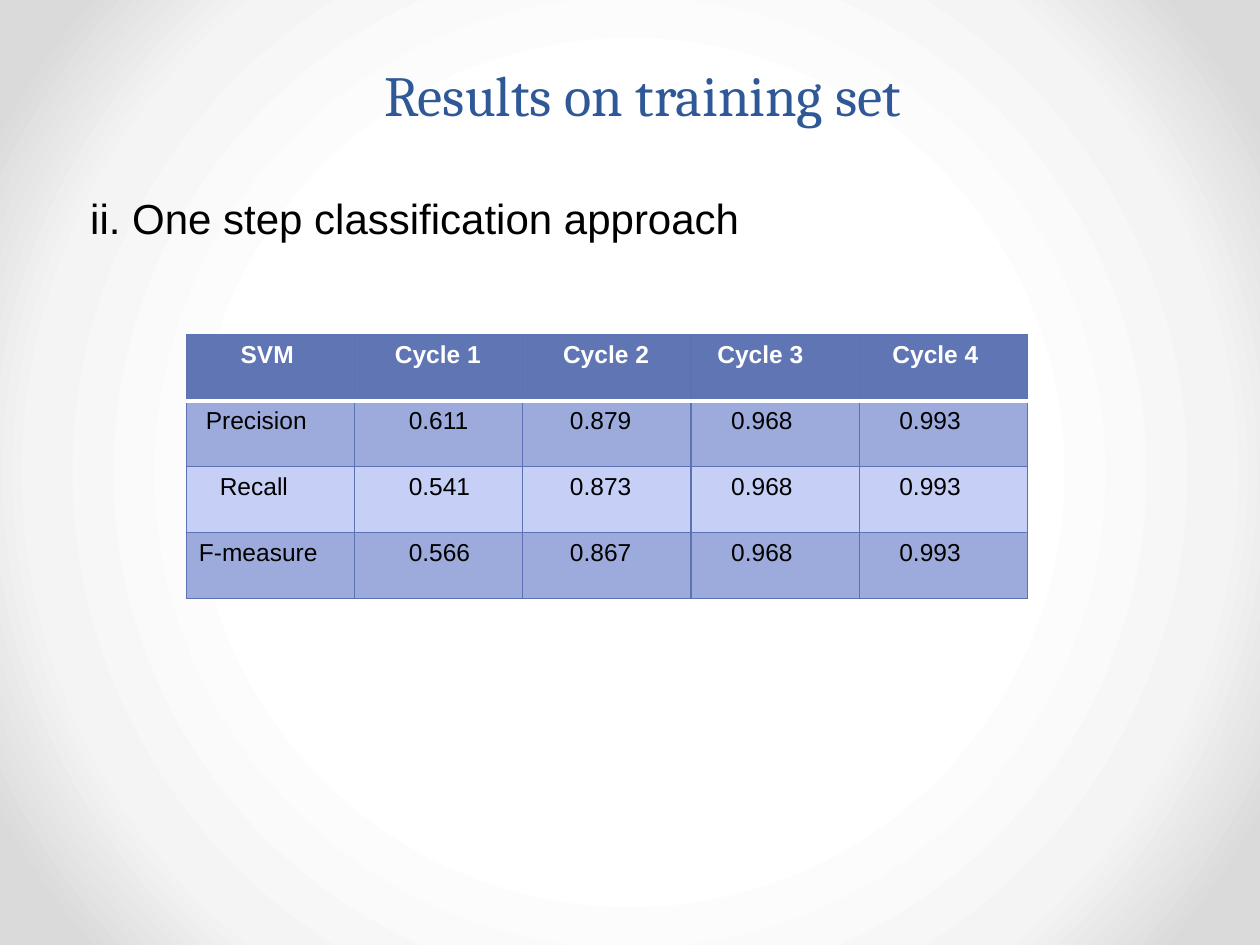
from lxml import etree
from pptx import Presentation
from pptx.dml.color import RGBColor
from pptx.enum import text
from pptx.oxml import ns, parse_xml
from pptx.util import Cm, Pt

# Content: each cell is (text, indent in steps)
TITLE = "Results on training set"
LEAD = "ii. One step classification approach"
ROWS = [
    [("SVM", 6), ("Cycle 1", 4), ("Cycle 2", 4), ("Cycle 3", 2), ("Cycle 4", 3)],
    [("Precision", 1), ("0.611", 6), ("0.879", 5), ("0.968", 4), ("0.993", 4)],
    [("Recall", 3), ("0.541", 6), ("0.873", 5), ("0.968", 4), ("0.993", 4)],
    [("F-measure", 0), ("0.566", 6), ("0.867", 5), ("0.968", 4), ("0.993", 4)],
]
STOPS = [(50, "FFFFFF"), (76, "F4F4F4"), (92, "DADADA")]

# Colours
BLUE = RGBColor(0x2F, 0x58, 0x97)
HEAD = RGBColor(0x60, 0x76, 0xB4)
DARK = RGBColor(0x9D, 0xAB, 0xDC)
PALE = RGBColor(0xC6, 0xCF, 0xF6)
EDGE = RGBColor(0x5C, 0x72, 0xB2)
WHITE = RGBColor(0xFF, 0xFF, 0xFF)
BLACK = RGBColor(0, 0, 0)

# Table grid, in cm
COL_W, ROW_H = 3.39, 1.33
PAD, STEP = 0.25, 0.14


def style(par, name, size, color, bold=False):
    font = par.font
    font.name, font.size, font.bold = name, Pt(size), bold
    font.color.rgb = color


def paint_back(slide):
    """Fill the background with a round gradient."""
    slide.background.fill.solid()
    old = slide.background._cSld.find(".//" + ns.qn("a:solidFill"))
    stops = "".join(f'<a:gs pos="{pos * 1000}"><a:srgbClr val="{rgb}"/></a:gs>'
                    for pos, rgb in STOPS)
    grad = parse_xml(
        f'<a:gradFill {ns.nsdecls("a")} rotWithShape="1"><a:gsLst>{stops}</a:gsLst>'
        '<a:path path="circle"><a:fillToRect l="50000" t="50000" r="50000" b="50000"/>'
        '</a:path></a:gradFill>')
    old.getparent().replace(old, grad)


def add_edges(cell, row):
    """Draw the four cell borders; a thick white rule lies under the header."""
    thin, thick = (EDGE, 0.75), (WHITE, 2.25)
    edges = {"lnL": thin, "lnR": thin,
             "lnT": thick if row == 1 else thin,
             "lnB": thick if row == 0 else thin}
    props = cell._tc.get_or_add_tcPr()
    for pos, (tag, (color, width)) in enumerate(edges.items()):
        line = etree.Element(ns.qn("a:" + tag), w=str(Pt(width)))
        fill = etree.SubElement(line, ns.qn("a:solidFill"))
        etree.SubElement(fill, ns.qn("a:srgbClr"), val=str(color))
        props.insert(pos, line)


def add_grid(slide):
    size = len(ROWS[0])
    grid = slide.shapes.add_table(len(ROWS), size, Cm(3.76), Cm(6.75),
                                  Cm(COL_W * size), Cm(ROW_H * len(ROWS))).table
    for col in grid.columns:
        col.width = Cm(COL_W)
    for r, row in enumerate(ROWS):
        grid.rows[r].height = Cm(ROW_H)
        for c, (word, steps) in enumerate(row):
            cell = grid.cell(r, c)
            cell.text = word
            cell.margin_left = Cm(PAD + STEP * steps)
            cell.fill.solid()
            cell.fill.fore_color.rgb = HEAD if r == 0 else DARK if r % 2 else PALE
            style(cell.text_frame.paragraphs[0], "Arial", 14,
                  WHITE if r == 0 else BLACK, r == 0)
            add_edges(cell, r)


def main():
    deck = Presentation()
    deck.slide_width, deck.slide_height = Cm(25.4), Cm(19.05)
    slide = deck.slides.add_slide(deck.slide_layouts[5])
    paint_back(slide)

    # Title
    head = slide.shapes.title
    head.left, head.top, head.width, head.height = Cm(4.75), Cm(0.58), Cm(16.41), Cm(2.24)
    frame = head.text_frame
    frame.text = TITLE
    frame.auto_size = text.MSO_AUTO_SIZE.NONE
    frame.vertical_anchor = text.MSO_ANCHOR.BOTTOM
    frame.margin_left = frame.margin_right = Cm(0.25)
    frame.margin_top = frame.margin_bottom = Cm(0.25)
    par = frame.paragraphs[0]
    par.alignment = text.PP_ALIGN.CENTER
    par.line_spacing = Pt(58)
    style(par, "Cambria", 32.4, BLUE)

    # Lead line
    frame = slide.shapes.add_textbox(Cm(1.57), Cm(3.76), Cm(13.74), Cm(1.27)).text_frame
    frame.text = LEAD
    frame.word_wrap = False
    frame.auto_size = text.MSO_AUTO_SIZE.SHAPE_TO_FIT_TEXT
    style(frame.paragraphs[0], "Arial", 24, BLACK)

    # Scores
    add_grid(slide)
    deck.save("out.pptx")


if __name__ == "__main__":
    main()
